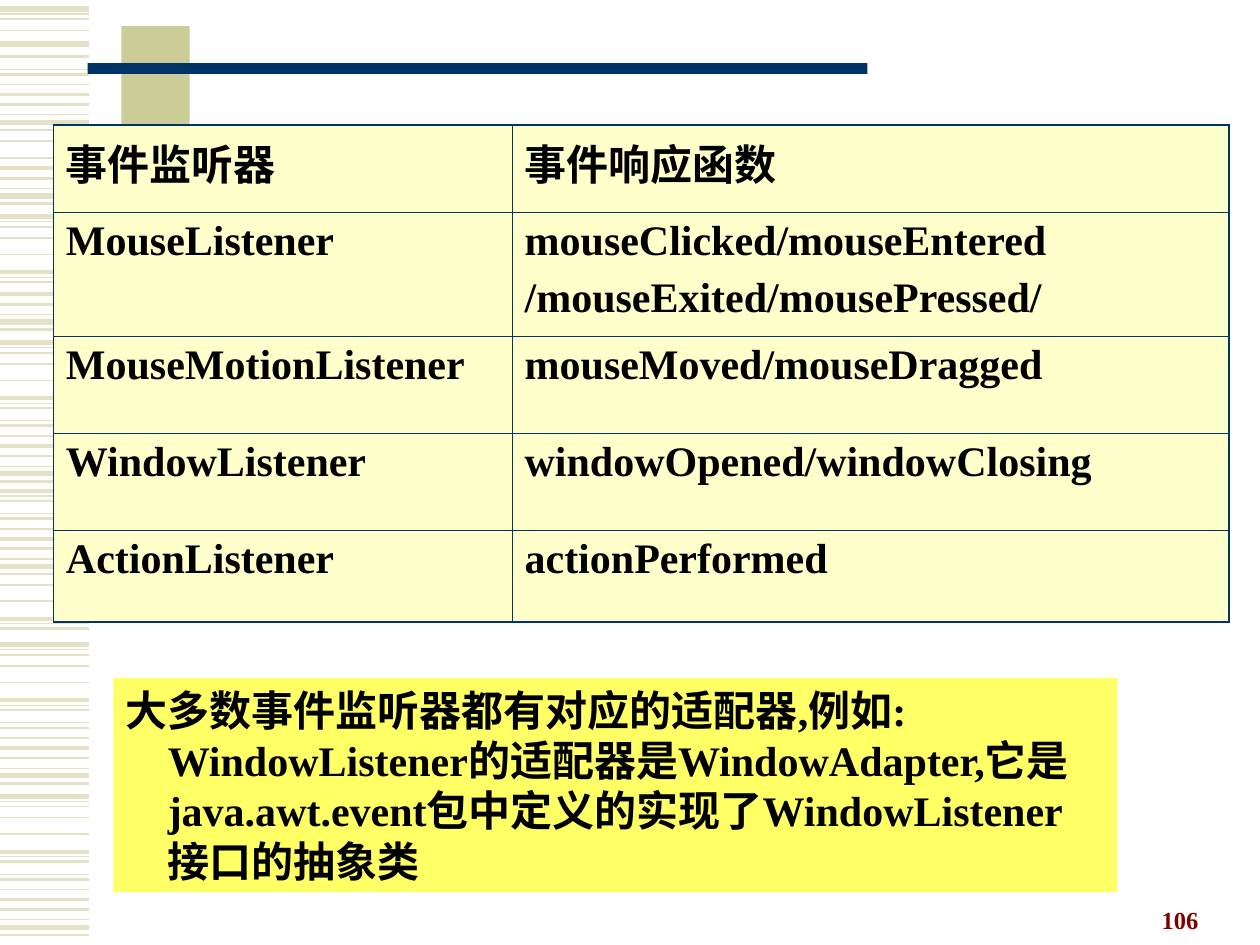
"""Build a slide listing Java event listeners and their handler methods."""
from typing import NamedTuple

from lxml.etree import SubElement
from pptx import Presentation
from pptx.dml.color import RGBColor
from pptx.enum.shapes import MSO_CONNECTOR as Connector, MSO_SHAPE as Preset
from pptx.enum.text import MSO_ANCHOR as Anchor, PP_ALIGN as Align
from pptx.oxml.ns import qn
from pptx.util import Pt

COLORS = {
    "stripe": "E3E2C7",
    "olive": "CCCC99",
    "navy": "003366",
    "cream": "FFFFCC",
    "yellow": "FFFF66",
    "maroon": "800000",
    "ink": "000000",
}
FONT = "Times New Roman"
STRIPE_LENGTH = 51.1
OUTER_BORDER, INNER_BORDER = 1.08, 0.45


class Stripe(NamedTuple):
    offset: float
    weight: float


class StripeRun(NamedTuple):
    top: float
    first: int
    last: int


class Box(NamedTuple):
    left: float
    top: float
    width: float
    height: float


MOTIF = [
    Stripe(0, 3), Stripe(2.9, 0.75), Stripe(5.8, 1), Stripe(12.2, 1),
    Stripe(21.6, 1), Stripe(31.7, 2.25), Stripe(34.6, 0.75), Stripe(37.4, 1.5),
    Stripe(44.6, 0.75), Stripe(47.5, 1.5), Stripe(53.3, 1), Stripe(59, 2.25),
    Stripe(64.8, 1.5), Stripe(70.6, 0.75), Stripe(74.9, 3), Stripe(79.2, 1.5),
]
STRIPE_RUNS = [
    StripeRun(5.2, 0, 4), StripeRun(25.2, 0, 1), StripeRun(-5, 7, 16),
    StripeRun(59, 4, 5), StripeRun(37.1, 10, 16), StripeRun(123.8, 0, 8),
    StripeRun(109.1, 11, 16), StripeRun(195.8, 0, 16), StripeRun(248.8, 5, 16),
    StripeRun(321.9, 3, 8), StripeRun(368.4, 0, 16), StripeRun(455, 0, 16),
]
LISTENERS = [
    ("事件监听器", "事件响应函数"),
    ("MouseListener", "mouseClicked/mouseEntered\n/mouseExited/mousePressed/"),
    ("MouseMotionListener", "mouseMoved/mouseDragged"),
    ("WindowListener", "windowOpened/windowClosing"),
    ("ActionListener", "actionPerformed"),
]
COLUMN_WIDTHS = [262.1, 409.7]
ROW_HEIGHTS = [49.7, 70.6, 55.4, 55.4, 52.6]
ADAPTER_NOTE = [
    "大多数事件监听器都有对应的适配器,例如:",
    "WindowListener的适配器是WindowAdapter,它是",
    "java.awt.event包中定义的实现了WindowListener",
    "接口的抽象类",
]


def rgb(color: str) -> RGBColor:
    """Return the named colour."""
    return RGBColor.from_string(COLORS[color])


def style(paragraph, size: float = 24, color: str = "ink", align=Align.LEFT) -> None:
    """Set the bold slide font on a paragraph."""
    paragraph.alignment = align
    font = paragraph.font
    font.name, font.size, font.bold = FONT, Pt(size), True
    font.color.rgb = rgb(color)


def draw_stripes(slide, run: StripeRun) -> None:
    """Draw one part of the stripe motif at the left edge."""
    for stripe in MOTIF[run.first:run.last]:
        y = Pt(run.top + stripe.offset)
        line = slide.shapes.add_connector(Connector.STRAIGHT, 0, y, Pt(STRIPE_LENGTH), y)
        line.line.color.rgb = rgb("stripe")
        line.line.width = Pt(stripe.weight)
        SubElement(line._element.spPr, qn("a:effectLst"))


def draw_block(slide, box: Box, color: str):
    """Draw a plain filled rectangle."""
    block = slide.shapes.add_shape(Preset.RECTANGLE, *map(Pt, box))
    block.shadow.inherit = False
    block.fill.solid()
    block.fill.fore_color.rgb = rgb(color)
    block.line.fill.background()
    return block


def set_border(cell, side: str, weight: float) -> None:
    """Add one navy border to a cell."""
    border = SubElement(cell._tc.get_or_add_tcPr(), qn(f"a:{side}"), w=str(Pt(weight)))
    fill = SubElement(border, qn("a:solidFill"))
    SubElement(fill, qn("a:srgbClr"), val=COLORS["navy"])


def draw_listener_table(slide, left: float, top: float) -> None:
    """Draw the table of listeners and their handler methods."""
    rows, columns = len(ROW_HEIGHTS), len(COLUMN_WIDTHS)
    size = Pt(sum(COLUMN_WIDTHS)), Pt(sum(ROW_HEIGHTS))
    table = slide.shapes.add_table(rows, columns, Pt(left), Pt(top), *size).table
    table.first_row = table.horz_banding = False
    for column, width in zip(table.columns, COLUMN_WIDTHS):
        column.width = Pt(width)
    for r, (row, height) in enumerate(zip(table.rows, ROW_HEIGHTS)):
        row.height = Pt(height)
        for c, cell in enumerate(row.cells):
            cell.text_frame.text = LISTENERS[r][c]
            for index, paragraph in enumerate(cell.text_frame.paragraphs):
                style(paragraph)
                if index:
                    paragraph.space_before = Pt(6)
            edges = {"lnL": c == 0, "lnR": c == columns - 1,
                     "lnT": r == 0, "lnB": r == rows - 1}
            for side, outer in edges.items():
                set_border(cell, side, OUTER_BORDER if outer else INNER_BORDER)
            cell.fill.solid()
            cell.fill.fore_color.rgb = rgb("cream")


def draw_adapter_note(slide, box: Box) -> None:
    """Draw the yellow note with its indented continuation lines."""
    frame = draw_block(slide, box, "yellow").text_frame
    frame.word_wrap = True
    frame.vertical_anchor = Anchor.TOP
    frame.text = "\n".join(ADAPTER_NOTE)
    for index, paragraph in enumerate(frame.paragraphs):
        if index:
            paragraph._p.get_or_add_pPr().set("marL", str(Pt(24)))
        style(paragraph)


def draw_page_number(slide, box: Box, number: str) -> None:
    """Draw the page number at the lower right."""
    frame = slide.shapes.add_textbox(*map(Pt, box)).text_frame
    frame.word_wrap = True
    frame.vertical_anchor = Anchor.BOTTOM
    frame.text = number
    style(frame.paragraphs[0], 14, "maroon", Align.RIGHT)


def main() -> None:
    """Build and save the slide."""
    deck = Presentation()
    deck.slide_width, deck.slide_height = Pt(720), Pt(540)
    slide = deck.slides.add_slide(deck.slide_layouts[6])
    for run in STRIPE_RUNS:
        draw_stripes(slide, run)
    draw_block(slide, Box(69.4, 15, 39, 114.5), "olive")
    draw_block(slide, Box(50, 36, 445.7, 6.2), "navy")
    draw_page_number(slide, Box(519.1, 501.8, 172.8, 36), "106")
    draw_listener_table(slide, 30.5, 71.5)
    draw_adapter_note(slide, Box(64.8, 387.4, 573.8, 122.4))
    deck.save("out.pptx")


if __name__ == "__main__":
    main()
